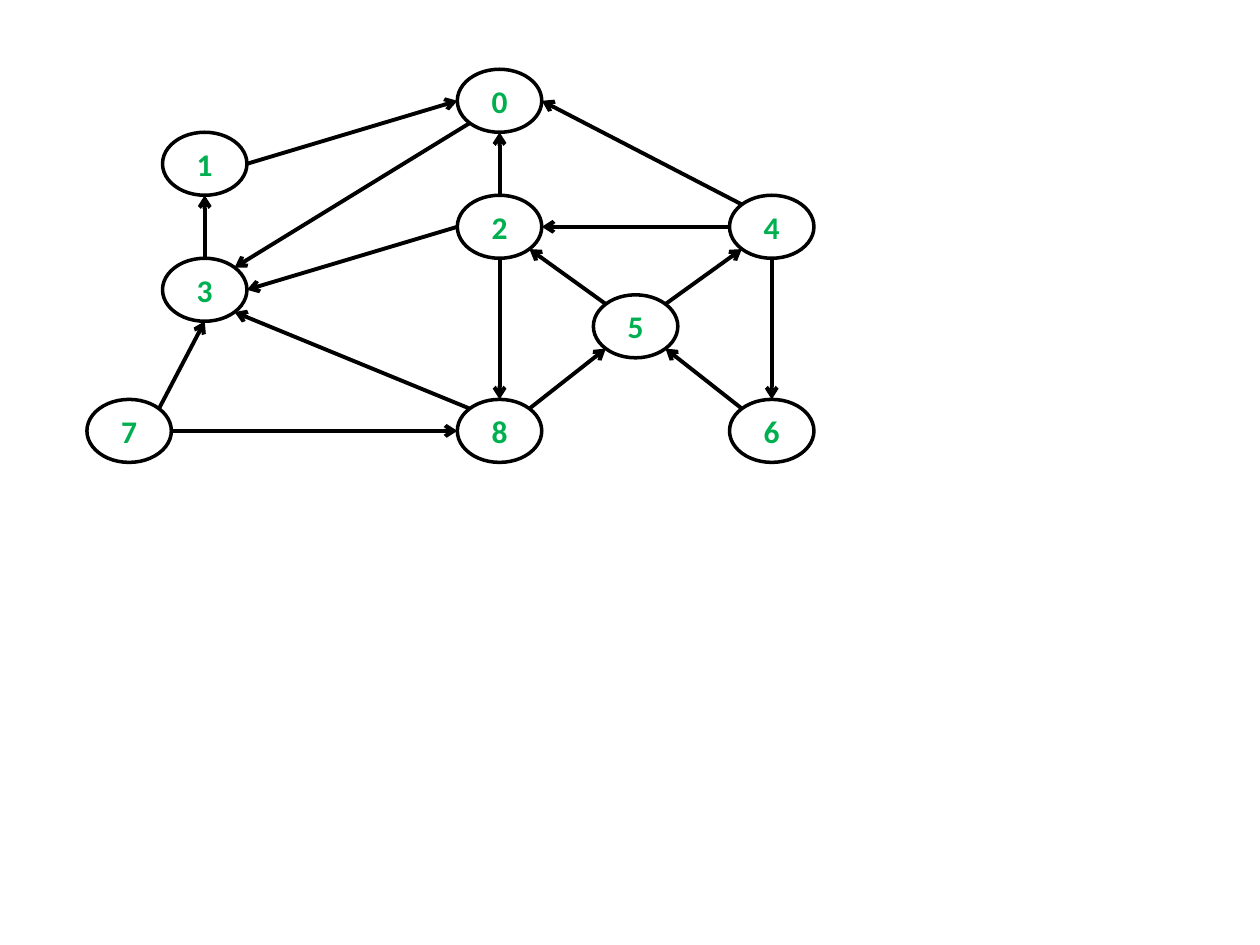
from math import cos, pi, sin

from lxml import etree
from pptx import Presentation
from pptx import util as u
from pptx.dml.color import RGBColor
from pptx.enum import shapes, text
from pptx.oxml.ns import qn

NODE_WIDTH, NODE_HEIGHT = 0.67, 0.5
SITES = ["top", "top left", "left", "bottom left",
         "bottom", "bottom right", "right", "top right"]


def colour(value):
    return RGBColor.from_string(value)


class GraphPage:
    font, size = "Calibri", 18
    ink, paper, label = "000000", "FFFFFF", "00B050"
    outline, stroke = 2, 2.25

    def __init__(self, deck):
        self.page = deck.slides.add_slide(deck.slide_layouts[6])
        self.nodes = {}

    def node(self, name, left, top):
        shape = self.page.shapes.add_shape(
            shapes.MSO_SHAPE.FLOWCHART_CONNECTOR, u.Inches(left), u.Inches(top),
            u.Inches(NODE_WIDTH), u.Inches(NODE_HEIGHT))
        shape.name = f"Node {name}"
        shape.shadow.inherit = False
        shape.fill.solid()
        shape.fill.fore_color.rgb = colour(self.paper)
        shape.line.color.rgb = colour(self.ink)
        shape.line.width = u.Pt(self.outline)
        shape.text_frame.text = name
        shape.text_frame.vertical_anchor = text.MSO_ANCHOR.MIDDLE
        para = shape.text_frame.paragraphs[0]
        para.alignment = text.PP_ALIGN.CENTER
        para.font.name = self.font
        para.font.size = u.Pt(self.size)
        para.font.bold = True
        para.font.color.rgb = colour(self.label)
        self.nodes[name] = shape

    def site_point(self, name, site):
        shape = self.nodes[name]
        angle = SITES.index(site) * pi / 4
        x = shape.left + shape.width / 2 * (1 - sin(angle))
        y = shape.top + shape.height / 2 * (1 - cos(angle))
        return round(x), round(y)

    def edge(self, source, source_site, target, target_site):
        line = self.page.shapes.add_connector(
            shapes.MSO_CONNECTOR.STRAIGHT,
            *self.site_point(source, source_site),
            *self.site_point(target, target_site))
        line.name = f"Edge {source} to {target}"
        line.line.color.rgb = colour(self.ink)
        line.line.width = u.Pt(self.stroke)
        glue = line._element.find(".//" + qn("p:cNvCxnSpPr"))
        ends = [("a:stCxn", source, source_site), ("a:endCxn", target, target_site)]
        for tag, name, site in ends:
            etree.SubElement(glue, qn(tag), id=str(self.nodes[name].shape_id),
                             idx=str(SITES.index(site)))
        etree.SubElement(line.line._get_or_add_ln(), qn("a:tailEnd"), type="arrow")
        etree.SubElement(line._element.spPr, qn("a:effectLst"))


NODES = {
    "0": (3.63, 0.55), "2": (3.63, 1.55), "1": (1.29, 1.05),
    "3": (1.29, 2.05), "4": (5.79, 1.55), "7": (0.69, 3.17),
    "8": (3.63, 3.17), "6": (5.79, 3.17), "5": (4.71, 2.34),
}
EDGES = [
    ("1", "right", "0", "left"),
    ("2", "top", "0", "bottom"),
    ("3", "top", "1", "bottom"),
    ("2", "left", "3", "right"),
    ("0", "bottom left", "3", "top right"),
    ("7", "top right", "3", "bottom"),
    ("4", "left", "2", "right"),
    ("8", "top left", "3", "bottom right"),
    ("2", "bottom", "8", "top"),
    ("4", "bottom", "6", "top"),
    ("5", "top right", "4", "bottom left"),
    ("5", "top left", "2", "bottom right"),
    ("6", "top left", "5", "bottom right"),
    ("8", "top right", "5", "bottom left"),
    ("7", "right", "8", "left"),
    ("4", "top left", "0", "right"),
]

deck = Presentation()
deck.slide_width, deck.slide_height = u.Inches(10), u.Inches(7.5)
graph = GraphPage(deck)
for name, place in NODES.items():
    graph.node(name, *place)
for ends in EDGES:
    graph.edge(*ends)
deck.save("out.pptx")
